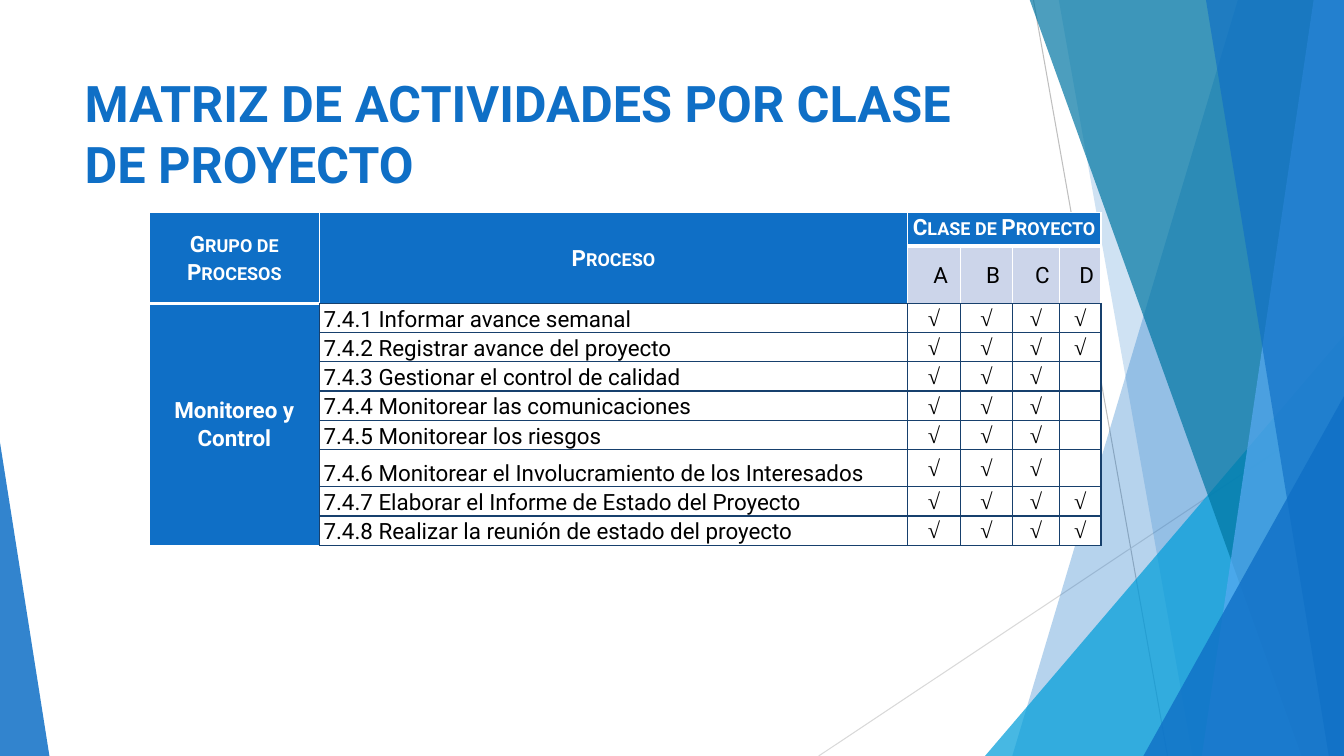
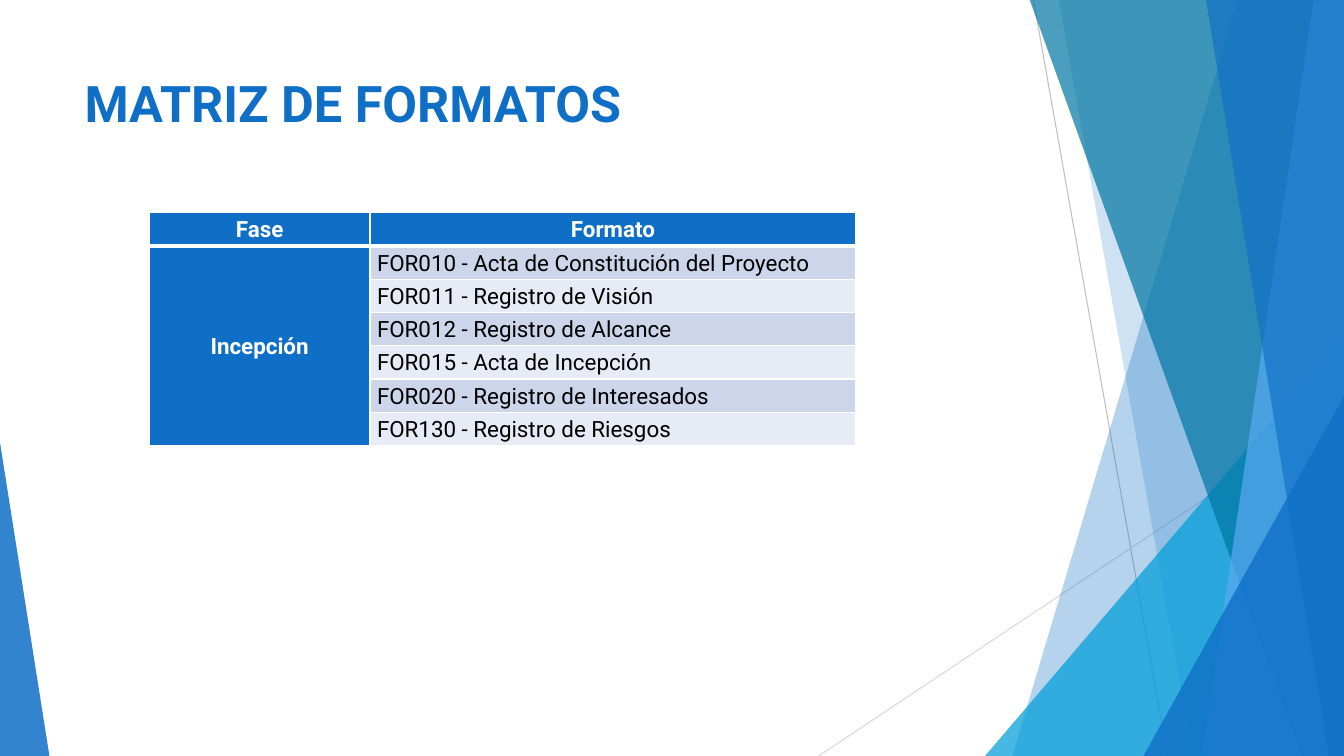
import dataclasses

import lxml.etree
import pptx
import pptx.dml.color
import pptx.enum.shapes
import pptx.enum.text
import pptx.oxml.ns
import pptx.util

Inches = pptx.util.Inches
qn = pptx.oxml.ns.qn
ALIGN = pptx.enum.text.PP_ALIGN
ANCHOR = pptx.enum.text.MSO_ANCHOR


@dataclasses.dataclass(frozen=True)
class Theme:
    blue: str = "0F6FC6"
    cyan: str = "009DD9"
    teal: str = "0076A3"
    sky: str = "59AAF2"
    navy: str = "17406D"
    band_dark: str = "CCD5EA"
    band_light: str = "E7EBF5"
    white: str = "FFFFFF"
    black: str = "000000"
    line_dark: str = "BFBFBF"
    line_light: str = "D9D9D9"
    font: str = "Roboto"
    check_font: str = "Times New Roman"
    title_size: int = 36
    table_size: int = 16


theme = Theme()


def write(frame, text, size=theme.table_size, color=theme.black, font=theme.font,
          bold=False, small_caps=False, align=ALIGN.LEFT, spacing=None):
    frame.word_wrap = True
    paragraph = frame.paragraphs[0]
    paragraph.alignment = align
    paragraph.line_spacing = spacing
    if not text:
        lxml.etree.SubElement(paragraph._p, qn("a:endParaRPr"), sz=str(size * 100))
        return
    run = paragraph.add_run()
    run.text = text
    run.font.size = pptx.util.Pt(size)
    run.font.name = font
    run.font.bold = bold
    run.font.color.rgb = pptx.dml.color.RGBColor.from_string(color)
    if small_caps:
        run.font._element.set("cap", "small")


def style_cell(cell, fill, borders, side_margins, anchor=ANCHOR.MIDDLE):
    properties = cell._tc.get_or_add_tcPr()
    for side, (color, width) in zip("LRTB", borders):
        line = lxml.etree.SubElement(properties, qn("a:ln" + side), w=str(pptx.util.Pt(width)))
        solid = lxml.etree.SubElement(line, qn("a:solidFill"))
        lxml.etree.SubElement(solid, qn("a:srgbClr"), val=color)
    cell.fill.solid()
    cell.fill.fore_color.rgb = pptx.dml.color.RGBColor.from_string(fill)
    cell.margin_left, cell.margin_right = map(Inches, side_margins)
    cell.margin_top = cell.margin_bottom = 0
    cell.vertical_anchor = anchor


presentation = pptx.Presentation()
presentation.slide_width = Inches(13.33)
presentation.slide_height = Inches(7.5)
layout = presentation.slide_layouts[6]
for placeholder in list(layout.placeholders):
    placeholder.element.getparent().remove(placeholder.element)

titles = ["MATRIZ DE ACTIVIDADES POR CLASE DE PROYECTO", "MATRIZ DE FORMATOS"]
slides = [presentation.slides.add_slide(layout) for title in titles]
shapes = slides[0].shapes

for start_x, start_y, end_x, end_y, color in [
    (10.25, 0, 11.58, 7.5, theme.line_dark),
    (13.33, 4.03, 8.12, 7.5, theme.line_light),
]:
    connector = shapes.add_connector(
        pptx.enum.shapes.MSO_CONNECTOR.STRAIGHT,
        Inches(start_x), Inches(start_y), Inches(end_x), Inches(end_y))
    connector.line.color.rgb = pptx.dml.color.RGBColor.from_string(color)
    connector.line.width = pptx.util.Pt(0.75)
    lxml.etree.SubElement(connector.element.spPr, qn("a:effectLst"))

right, top, bottom = 13.33, -0.01, 7.5
facets = [
    ("band", (12.28, 10.04), theme.blue, 30),
    ("band", (10.5, 11.83), theme.blue, 20),
    ("triangle", (9.77, 3.33, 3.56, 1), theme.cyan, 72),
    ("band", (10.21, 12.91), theme.teal, 70),
    ("band", (13.03, 11.92), theme.sky, 70),
    ("band", (11.96, 13.18), theme.blue, 65),
    ("triangle", (11.34, 3.93, 1.99, 1), theme.blue, 80),
    ("triangle", (0, 4.39, 0.49, 0), theme.blue, 85),
]
for kind, geometry, color, opacity in facets:
    if kind == "band":
        top_x, bottom_x = geometry
        builder = shapes.build_freeform(Inches(top_x), Inches(top))
        builder.add_line_segments(
            [(Inches(x), Inches(y)) for x, y in
             [(right, top), (right, bottom), (bottom_x, bottom)]])
        facet = builder.convert_to_shape()
    else:
        left, peak, width, apex = geometry
        facet = shapes.add_shape(
            pptx.enum.shapes.MSO_SHAPE.ISOSCELES_TRIANGLE,
            Inches(left), Inches(peak), Inches(width), Inches(bottom - peak))
        facet.adjustments[0] = apex
    facet.shadow.inherit = False
    facet.line.fill.background()
    facet.fill.solid()
    facet.fill.fore_color.rgb = pptx.dml.color.RGBColor.from_string(color)
    color_element = facet.element.spPr.find(".//" + qn("a:srgbClr"))
    lxml.etree.SubElement(color_element, qn("a:alpha"), val=str(opacity * 1000))

for shape in list(shapes):
    layout.shapes.element.append(shape.element)

for slide, title in zip(slides, titles):
    title_box = slide.shapes.add_textbox(Inches(0.74), Inches(0.67), Inches(9.4), Inches(1.44))
    write(title_box.text_frame, title, size=theme.title_size, color=theme.blue, bold=True)

activity_rows = [
    ["Grupo de Procesos", "Proceso", "Clase de Proyecto", "", "", ""],
    ["", "", "A", "B", "C", "D"],
]
for activity, classes in [
    ("7.4.1 Informar avance semanal", "ABCD"),
    ("7.4.2 Registrar avance del proyecto", "ABCD"),
    ("7.4.3 Gestionar el control de calidad", "ABC"),
    ("7.4.4 Monitorear las comunicaciones", "ABC"),
    ("7.4.5 Monitorear los riesgos", "ABC"),
    ("7.4.6 Monitorear el Involucramiento de los Interesados", "ABC"),
    ("7.4.7 Elaborar el Informe de Estado del Proyecto", "ABCD"),
    ("7.4.8 Realizar la reunión de estado del proyecto", "ABCD"),
]:
    activity_rows.append(["", activity] + ["√" if name in classes else "" for name in "ABCD"])
activity_rows[2][0] = "Monitoreo y Control"

format_rows = [["Fase", "Formato"]] + [["", name] for name in [
    "FOR010 - Acta de Constitución del Proyecto",
    "FOR011 - Registro de Visión",
    "FOR012 - Registro de Alcance",
    "FOR015 - Acta de Incepción",
    "FOR020 - Registro de Interesados",
    "FOR130 - Registro de Riesgos",
]]
format_rows[1][0] = "Incepción"

tables = []
for slide, rows, widths, heights, merges in [
    (slides[0], activity_rows, [1.69, 5.83, 0.53, 0.51, 0.47, 0.41],
     [0.33] + [0.29] * 6 + [0.37] + [0.29] * 2,
     [(0, 0, 1, 0), (0, 1, 1, 1), (0, 2, 0, 5), (2, 0, 9, 0)]),
    (slides[1], format_rows, [2.19, 4.82], [0.33] * 7, [(1, 0, 6, 0)]),
]:
    table = slide.shapes.add_table(
        len(rows), len(widths), Inches(1.48), Inches(2.11),
        Inches(sum(widths)), Inches(sum(heights))).table
    table.first_row = table.horz_banding = False
    for column, width in zip(table.columns, widths):
        column.width = Inches(width)
    for row, height in zip(table.rows, heights):
        row.height = Inches(height)
    for first_row, first_column, last_row, last_column in merges:
        table.cell(first_row, first_column).merge(table.cell(last_row, last_column))
    tables.append(table)

activity_table, format_table = tables
white_line, thick_line, navy_line = (theme.white, 1), (theme.white, 3), (theme.navy, 1)

for row, texts in enumerate(activity_rows):
    for column, text in enumerate(texts):
        header, group = row < 2, column == 0
        class_label = row == 1 and column > 1
        blue = group or header and not class_label
        line = white_line if header or group else navy_line
        right_line = navy_line if group and not header else line
        top_line = thick_line if class_label or (row == 2 and group) else line
        bottom_line = line
        if header:
            bottom_line = navy_line if column == 1 or class_label else thick_line
        margin = 0 if column > 2 or (row == 0 and column == 2) else 0.04
        cell = activity_table.cell(row, column)
        style_cell(
            cell,
            theme.blue if blue else theme.band_dark if class_label else theme.white,
            (line, right_line, top_line, bottom_line),
            (margin + 0.13 if class_label else margin, margin),
            anchor=ANCHOR.TOP if row == 0 and column > 1
            else ANCHOR.BOTTOM if column == 1 and not header else ANCHOR.MIDDLE)
        write(
            cell.text_frame, text,
            color=theme.white if blue else theme.black,
            font=theme.check_font if text == "√" else theme.font,
            bold=blue, small_caps=header and blue, spacing=1.07,
            align=ALIGN.LEFT if column == 1 and not header else ALIGN.CENTER)

for row, texts in enumerate(format_rows):
    for column, text in enumerate(texts):
        blue = row == 0 or column == 0
        band = theme.band_dark if row % 2 else theme.band_light
        cell = format_table.cell(row, column)
        style_cell(
            cell, theme.blue if blue else band,
            (white_line, white_line,
             thick_line if row == 1 else white_line,
             thick_line if row == 0 else white_line),
            (0.07, 0.07))
        write(
            cell.text_frame, text,
            color=theme.white if blue else theme.black, bold=blue, spacing=1.07,
            align=ALIGN.CENTER if blue else ALIGN.LEFT)

presentation.save("out.pptx")
